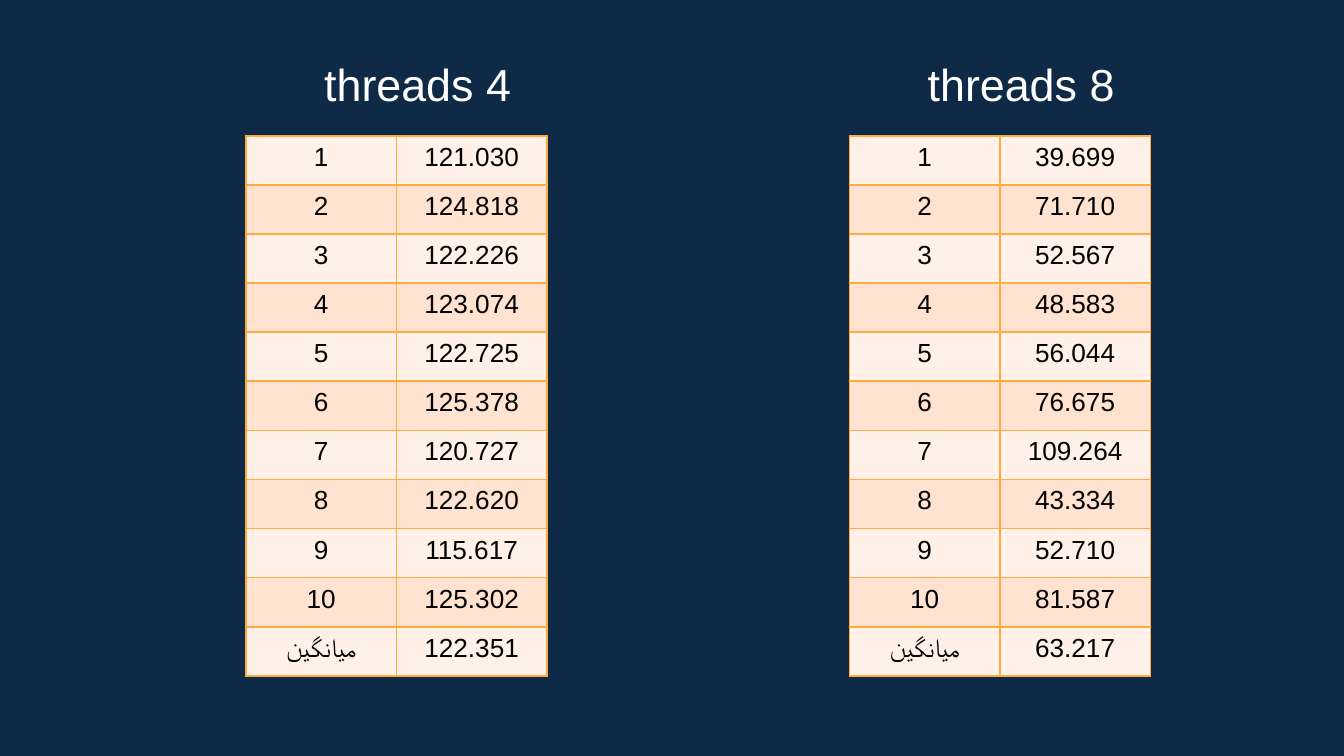
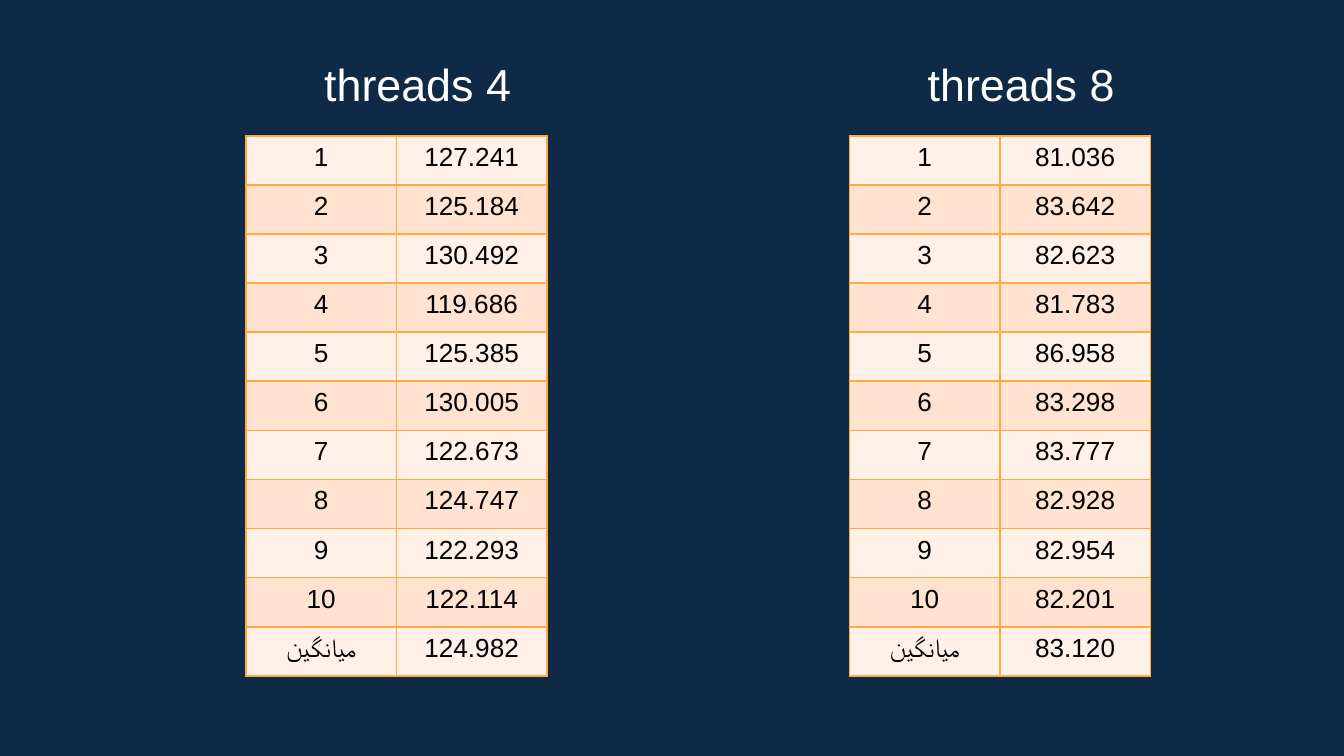
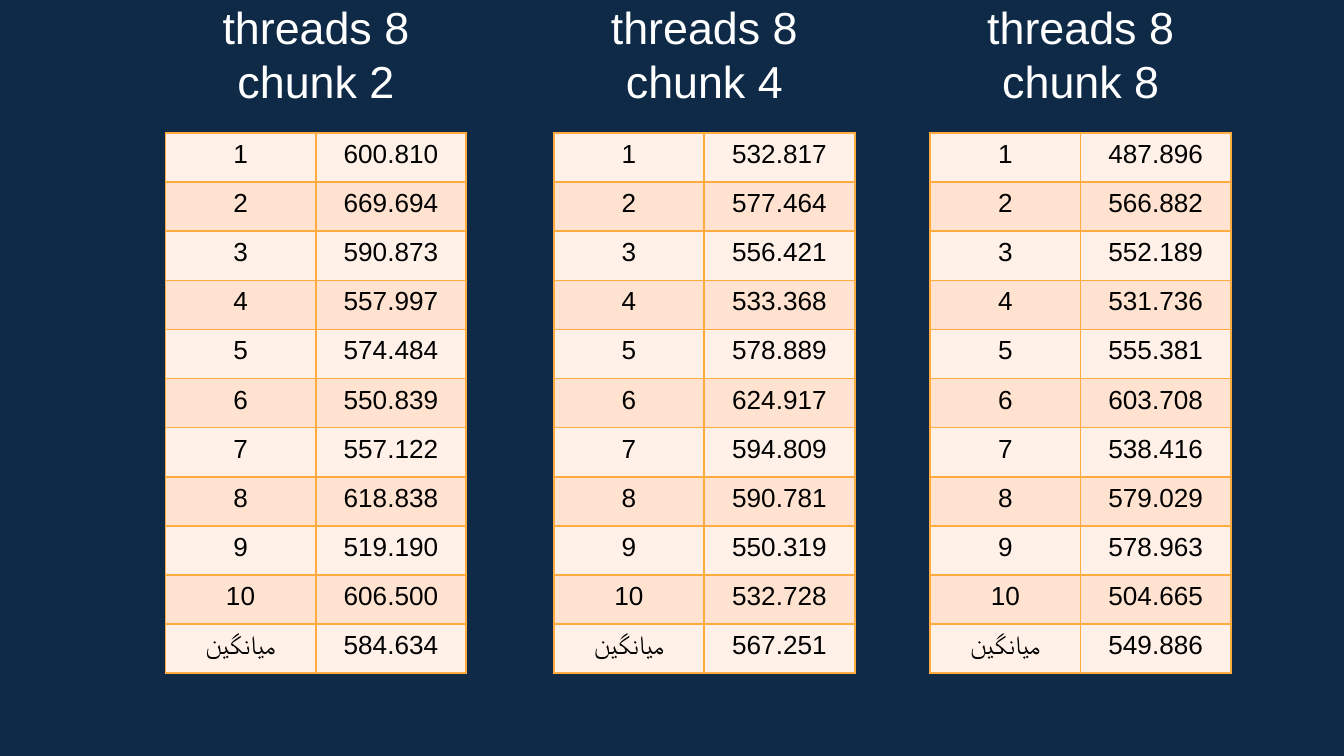
from lxml import etree
from pptx import Presentation
from pptx.dml.color import RGBColor
from pptx.enum import text
from pptx.oxml import ns
from pptx.util import Inches, Pt

NAVY = RGBColor(0x0E, 0x2A, 0x47)
WHITE = RGBColor(0xFF, 0xFF, 0xFF)
BLACK = RGBColor(0x00, 0x00, 0x00)
ORANGE = RGBColor(0xFF, 0xAB, 0x40)
BANDS = (RGBColor(0xFF, 0xF1, 0xE8), RGBColor(0xFF, 0xE2, 0xCF))

FONT = "Arial"
CENTER = text.PP_ALIGN.CENTER
RIGHT = text.PP_ALIGN.RIGHT
AVERAGE = "میانگین"

TABLE_WIDTH, TABLE_HEIGHT = 2.24, 4.02
HEADING_WIDTH, HEADING_HEIGHT = 2.62, 0.63
HEADING_RISE = 0.72
PAIR_LEFTS = (6.32, 1.83)
PAIR_TOP, PAIR_SHIFT = 1.01, -0.55
TRIO_LEFTS = (4.12, 1.23, 6.92)
TRIO_TOP, TRIO_SHIFT = 0.99, -0.19

PAIR_HEADINGS = (["8 threads"], ["4 threads"])
TRIO_HEADINGS = [["8 threads", f"chunk {size}"] for size in (4, 2, 8)]

FIRST_TIMES = (
    "39.699 71.710 52.567 48.583 56.044 76.675 109.264 43.334 52.710 81.587 63.217",
    "121.030 124.818 122.226 123.074 122.725 125.378 120.727 122.620 115.617 125.302 122.351",
)
SECOND_TIMES = (
    "81.036 83.642 82.623 81.783 86.958 83.298 83.777 82.928 82.954 82.201 83.120",
    "127.241 125.184 130.492 119.686 125.385 130.005 122.673 124.747 122.293 122.114 124.982",
)
CHUNK_TIMES = (
    "532.817 577.464 556.421 533.368 578.889 624.917 594.809 590.781 550.319 532.728 567.251",
    "600.810 669.694 590.873 557.997 574.484 550.839 557.122 618.838 519.190 606.500 584.634",
    "487.896 566.882 552.189 531.736 555.381 603.708 538.416 579.029 578.963 504.665 549.886",
)


def write_text(para, words, size=14, color=BLACK, align=CENTER, rtl=False):
    para.alignment = align
    if rtl:
        para._p.get_or_add_pPr().set("rtl", "1")
    span = para.add_run()
    span.text = words
    span.font.name = FONT
    span.font.size = Pt(size)
    span.font.color.rgb = color
    etree.SubElement(span._r.get_or_add_rPr(), ns.qn("a:cs"), typeface=FONT)


def add_borders(cell, color=ORANGE, width=1):
    properties = cell._tc.get_or_add_tcPr()
    for index, side in enumerate(("a:lnL", "a:lnR", "a:lnT", "a:lnB")):
        line = etree.Element(ns.qn(side), w=str(Pt(width)))
        fill = etree.SubElement(line, ns.qn("a:solidFill"))
        etree.SubElement(fill, ns.qn("a:srgbClr"), val=str(color))
        properties.insert(index, line)


def add_heading(page, lines, left, top, align):
    box = page.shapes.add_textbox(
        Inches(left), Inches(top), Inches(HEADING_WIDTH), Inches(HEADING_HEIGHT)
    )
    frame = box.text_frame
    frame.word_wrap = True
    frame.vertical_anchor = text.MSO_ANCHOR.BOTTOM
    frame.margin_left = frame.margin_right = Inches(0.1)
    frame.margin_top = frame.margin_bottom = Inches(0.1)
    for index, words in enumerate(lines):
        para = frame.add_paragraph() if index else frame.paragraphs[0]
        write_text(para, words, size=24, color=WHITE, align=align, rtl=True)


def add_times_table(page, times, left, top):
    labels = [str(run) for run in range(1, len(times))] + [AVERAGE]
    table = page.shapes.add_table(
        len(times), 2, Inches(left), Inches(top), Inches(TABLE_WIDTH), Inches(TABLE_HEIGHT)
    ).table
    table.first_row = False
    table.horz_banding = False
    for row, values in enumerate(zip(labels, times)):
        for column, words in enumerate(values):
            cell = table.cell(row, column)
            cell.fill.solid()
            cell.fill.fore_color.rgb = BANDS[row % 2]
            add_borders(cell)
            write_text(cell.text_frame.paragraphs[0], words)


def add_results_page(deck, headings, columns, lefts, top, shift, align):
    page = deck.slides.add_slide(deck.slide_layouts.get_by_name("Blank"))
    for lines, times, left in zip(headings, columns, lefts):
        add_times_table(page, times.split(), left, top)
        add_heading(page, lines, left + shift, top - HEADING_RISE, align)


def main():
    deck = Presentation()
    deck.slide_width = Inches(10)
    deck.slide_height = deck.slide_width * 9 // 16
    background = deck.slide_master.background.fill
    background.solid()
    background.fore_color.rgb = NAVY
    for columns in (FIRST_TIMES, SECOND_TIMES):
        add_results_page(
            deck, PAIR_HEADINGS, columns, PAIR_LEFTS, PAIR_TOP, PAIR_SHIFT, RIGHT
        )
    add_results_page(
        deck, TRIO_HEADINGS, CHUNK_TIMES, TRIO_LEFTS, TRIO_TOP, TRIO_SHIFT, CENTER
    )
    deck.save("out.pptx")


if __name__ == "__main__":
    main()
